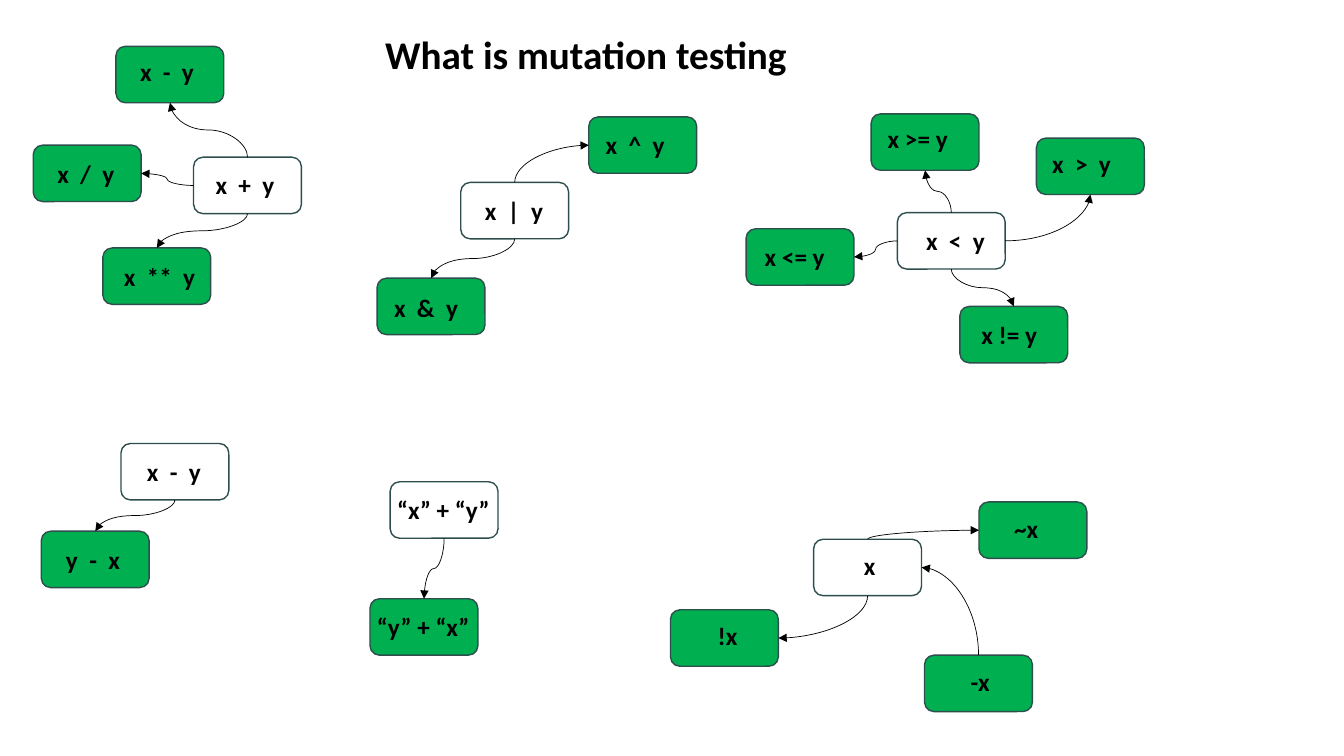
"""Build the mutation testing slide: original expressions linked to their mutants."""
import pptx
import pptx.dml.color
import pptx.enum.shapes
import pptx.enum.text
import pptx.oxml
import pptx.oxml.ns
import pptx.util
from pptx.util import Inches

COLORS = {"original": "FFFFFF", "mutant": "00B050", "outline": "2D4E4D", "ink": "000000"}
BOX_W, BOX_H, LABEL_H = 1.07, 0.56, 0.4
TOP, LEFT, BOTTOM, RIGHT = range(4)
TURN = {TOP: 270, LEFT: 180, BOTTOM: 90, RIGHT: 0}
SIDE_POINT = {TOP: (0.5, 0), LEFT: (0, 0.5), BOTTOM: (0.5, 1), RIGHT: (1, 0.5)}

# key: (role, box left, box top, text, label left, label top, label width)
EXPRESSIONS = {
    "plus": ("original", 1.92, 1.56, "x  +  y", 2.04, 1.63, 1.07),
    "minus": ("mutant", 1.15, 0.46, "x  -  y", 1.29, 0.51, 0.78),
    "divide": ("mutant", 0.33, 1.44, "x  /  y", 0.47, 1.52, 0.78),
    "power": ("mutant", 1.02, 2.46, "x  **  y", 1.13, 2.54, 1.16),
    "or": ("original", 4.57, 1.81, "x  |  y", 4.71, 1.89, 0.79),
    "xor": ("mutant", 5.84, 1.16, "x  ^  y", 5.91, 1.23, 1.16),
    "and": ("mutant", 3.74, 2.76, "x  &  y", 3.81, 2.85, 1.16),
    "less": ("original", 8.9, 2.11, " x  <  y", 9.03, 2.19, 0.93),
    "at least": ("mutant", 8.64, 1.13, " x >= y", 8.65, 1.17, 1.85),
    "greater": ("mutant", 10.28, 1.37, " x  >  y", 10.28, 1.42, 1.85),
    "at most": ("mutant", 7.4, 2.27, " x <= y", 7.43, 2.34, 1.85),
    "unequal": ("mutant", 9.52, 3.04, " x != y", 9.58, 3.12, 1.85),
    "difference": ("original", 1.2, 4.4, "x  -  y", 1.36, 4.48, 0.97),
    "swapped difference": ("mutant", 0.41, 5.27, " y  -  x", 0.5, 5.35, 0.97),
    "concat": ("original", 3.87, 4.78, "“x” + “y”", 3.84, 4.85, 1.85),
    "swapped concat": ("mutant", 3.67, 5.94, "“y” + “x”", 3.64, 6.02, 1.85),
    "value": ("original", 8.07, 5.35, "x", 8.47, 5.41, 0.56),
    "invert": ("mutant", 9.71, 4.98, "~x", 9.96, 5.04, 0.56),
    "not": ("mutant", 6.65, 6.05, "!x", 7.02, 6.1, 0.56),
    "negate": ("mutant", 9.17, 6.5, "-x", 9.53, 6.56, 0.56),
}

MUTATIONS = [
    ("plus", TOP, "minus", BOTTOM),
    ("plus", LEFT, "divide", RIGHT),
    ("plus", BOTTOM, "power", TOP),
    ("or", TOP, "xor", LEFT),
    ("or", BOTTOM, "and", TOP),
    ("less", TOP, "at least", BOTTOM),
    ("less", RIGHT, "greater", BOTTOM),
    ("less", LEFT, "at most", RIGHT),
    ("less", BOTTOM, "unequal", TOP),
    ("difference", BOTTOM, "swapped difference", TOP),
    ("concat", BOTTOM, "swapped concat", TOP),
    ("value", TOP, "invert", LEFT),
    ("value", BOTTOM, "not", RIGHT),
    ("negate", TOP, "value", RIGHT),
]


def rgb(name):
    return pptx.dml.color.RGBColor.from_string(COLORS[name])


def write(frame, text, size):
    frame.word_wrap = True
    frame.vertical_anchor = pptx.enum.text.MSO_ANCHOR.TOP
    paragraph = frame.paragraphs[0]
    paragraph.text = text
    paragraph.alignment = pptx.enum.text.PP_ALIGN.LEFT
    paragraph.font.name = "Calibri"
    paragraph.font.size = pptx.util.Pt(size)
    paragraph.font.bold = True
    paragraph.font.color.rgb = rgb("ink")


deck = pptx.Presentation()
deck.slide_width, deck.slide_height = Inches(13.33), Inches(7.5)
slide = deck.slides.add_slide(deck.slide_layouts[5])

heading = slide.shapes.title
heading.left, heading.top = Inches(3.72), Inches(0.25)
heading.width, heading.height = Inches(5.9), Inches(0.57)
write(heading.text_frame, "What is mutation testing", 28)

boxes = {}
for key, (role, left, top, *_) in EXPRESSIONS.items():
    box = slide.shapes.add_shape(
        pptx.enum.shapes.MSO_SHAPE.ROUNDED_RECTANGLE,
        Inches(left), Inches(top), Inches(BOX_W), Inches(BOX_H))
    box.shadow.inherit = False
    box.fill.solid()
    box.fill.fore_color.rgb = rgb(role)
    box.line.color.rgb = rgb("outline")
    box.line.width = pptx.util.Pt(1)
    boxes[key] = box

for *_, text, left, top, width in EXPRESSIONS.values():
    label = slide.shapes.add_textbox(Inches(left), Inches(top), Inches(width), Inches(LABEL_H))
    write(label.text_frame, text, 18)

for source, source_side, target, target_side in MUTATIONS:
    (x1, y1), (x2, y2) = [
        (EXPRESSIONS[key][1] + BOX_W * SIDE_POINT[side][0],
         EXPRESSIONS[key][2] + BOX_H * SIDE_POINT[side][1])
        for key, side in ((source, source_side), (target, target_side))]
    arrow = slide.shapes.add_connector(
        pptx.enum.shapes.MSO_CONNECTOR.CURVE, Inches(x1), Inches(y1), Inches(x2), Inches(y2))
    arrow.begin_connect(boxes[source], source_side)
    arrow.end_connect(boxes[target], target_side)
    arrow.line.color.rgb = rgb("ink")
    arrow.line.width = pptx.util.Pt(0.5)

    dx, dy = x2 - x1, y2 - y1
    along, across = {TOP: (-dy, dx), LEFT: (-dx, -dy),
                     BOTTOM: (dy, -dx), RIGHT: (dx, dy)}[source_side]
    arrow.width, arrow.height = Inches(abs(along)), Inches(abs(across))
    arrow.left = Inches((x1 + x2 - abs(along)) / 2)
    arrow.top = Inches((y1 + y2 - abs(across)) / 2)

    properties = arrow._element.spPr
    frame = properties.find(pptx.oxml.ns.qn("a:xfrm"))
    frame.set("rot", str(TURN[source_side] * 60000))
    frame.set("flipH", "0")
    frame.set("flipV", "1" if across < 0 else "0")
    if source_side % 2 != target_side % 2:
        properties.find(pptx.oxml.ns.qn("a:prstGeom")).set("prst", "curvedConnector2")
    head = pptx.oxml.parse_xml(f'<a:tailEnd {pptx.oxml.ns.nsdecls("a")} type="triangle"/>')
    properties.find(pptx.oxml.ns.qn("a:ln")).append(head)
    properties.append(pptx.oxml.parse_xml(f'<a:effectLst {pptx.oxml.ns.nsdecls("a")}/>'))

deck.save("out.pptx")
